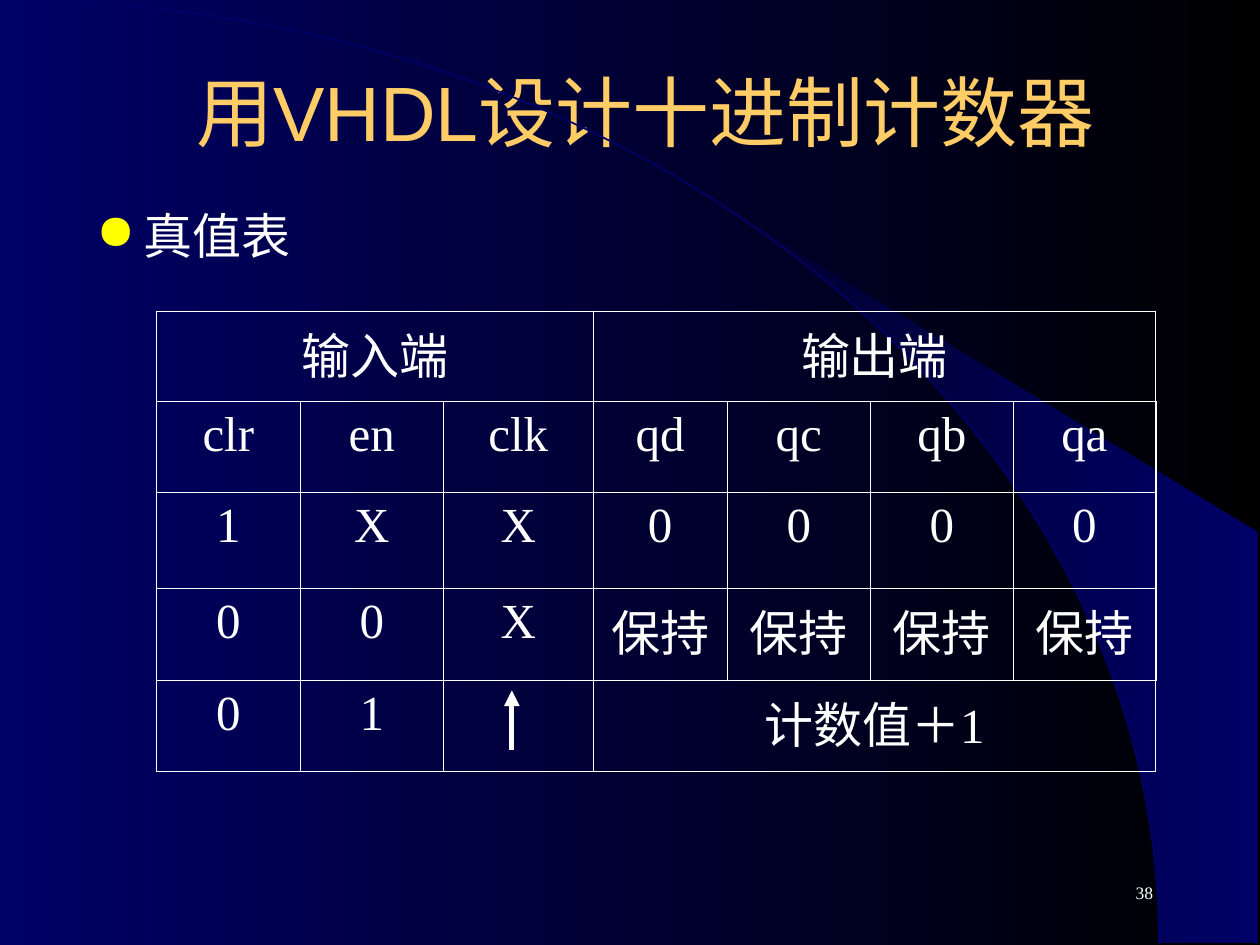
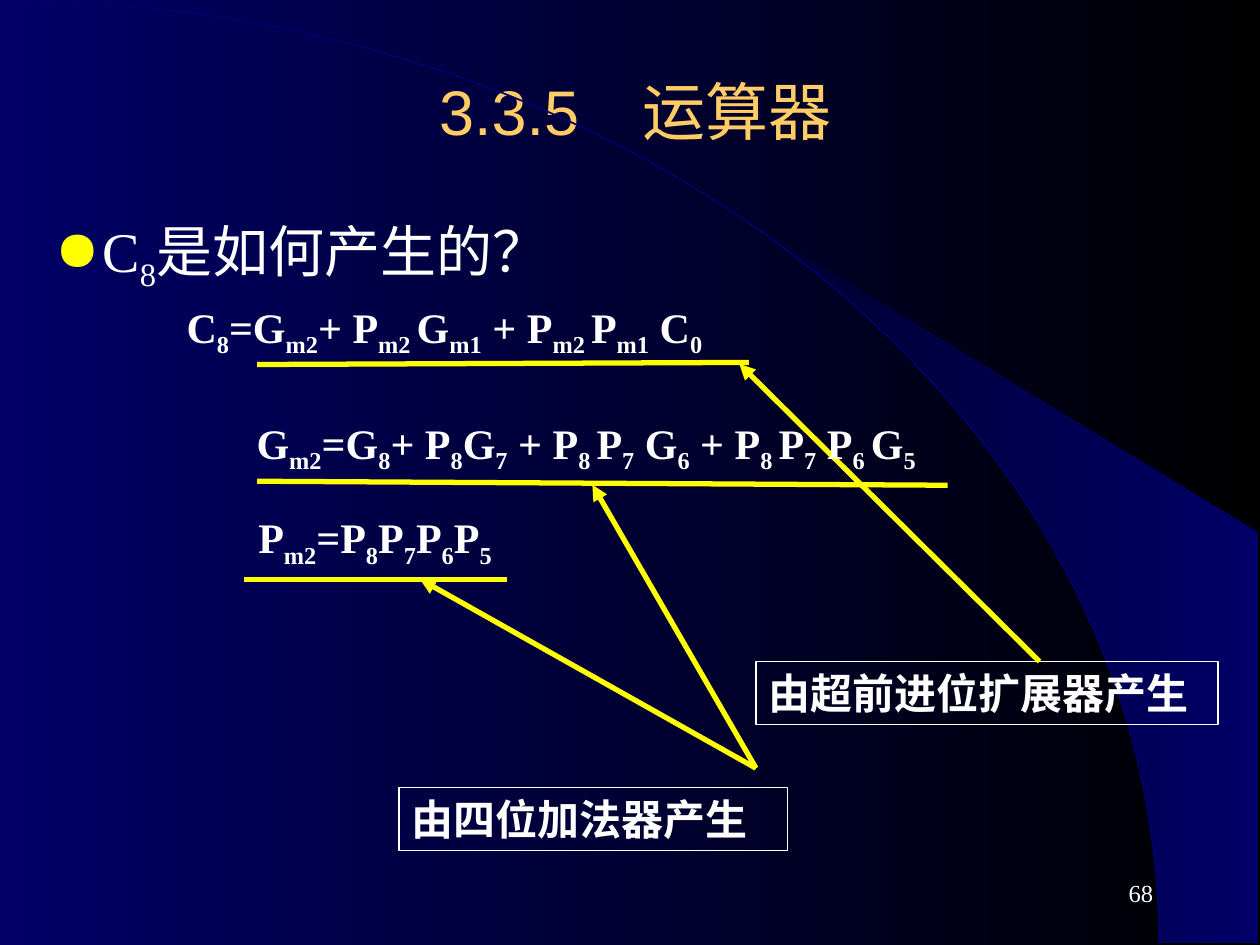
from lxml import etree
from pptx import Presentation
from pptx.dml.color import RGBColor
from pptx.enum.shapes import MSO_CONNECTOR as Connector, MSO_SHAPE as Shape
from pptx.enum.text import MSO_ANCHOR as Anchor, MSO_AUTO_SIZE as AutoSize, PP_ALIGN as Align
from pptx.oxml.ns import qn
from pptx.util import Pt

NAVY, DUSK, BLACK = "000066", "00002F", "000000"
WHITE, YELLOW, GOLD = "FFFFFF", "FFFF00", "FFCC66"
SERIF, SANS, LABEL_FONT = "Times New Roman", "Arial", "Cabin"
ARC = [(0, 0), (366, 0), (662.4, 241), (662.4, 539)]
ARC_STEPS, SWOOSH_START = 50, 22

TRUTH_ROWS = [
    ["输入端", "", "", "输出端", "", "", ""],
    ["clr", "en", "clk", "qd", "qc", "qb", "qa"],
    ["1", "X", "X", "0", "0", "0", "0"],
    ["0", "0", "X", "保持", "保持", "保持", "保持"],
    ["0", "1", "", "计数值＋1", "", "", ""],
]
TRUTH_WIDTHS = [82, 82, 85.5, 76.5, 82, 81.5, 81.5]
TRUTH_HEIGHTS = [51.5, 52, 55, 52.5, 52]
TRUTH_MERGES = [(0, 0, 2), (0, 3, 6), (4, 3, 6)]  # row, first column, last column


def colour(code):
    return RGBColor.from_string(code)


def points(values):
    return [Pt(value) for value in values]


def fill_gradient(fill, start, end):
    fill.gradient()
    fill.gradient_angle = 0
    for stop, code in zip(fill.gradient_stops, (start, end)):
        stop.color.rgb = colour(code)


def format_paragraph(para, size, font=SERIF, code=WHITE, bold=False, align=Align.LEFT):
    para.alignment = align
    for span in para.runs:
        span.font.size = Pt(size)
        span.font.name = font
        span.font.bold = bold
        span.font.color.rgb = colour(code)


def write_subscripted(para, text):
    """Every second part between bars is a subscript."""
    for index, part in enumerate(text.split("|")):
        span = para.add_run()
        span.text = part
        if index % 2:
            span._r.get_or_add_rPr().set("baseline", "-25000")


def add_text(page, box, text, size, align=Align.LEFT, anchor=Anchor.TOP, bold=False):
    frame = page.shapes.add_textbox(*points(box)).text_frame
    frame.word_wrap = True
    frame.vertical_anchor = anchor
    para = frame.paragraphs[0]
    write_subscripted(para, text)
    format_paragraph(para, size, bold=bold, align=align)
    return para


def add_bullet(page, box, text, size):
    para = add_text(page, box, text, size)
    properties = para._p.get_or_add_pPr()
    properties.set("marL", str(Pt(27)))
    properties.set("indent", str(-Pt(27)))
    bullet_colour = etree.SubElement(properties, qn("a:buClr"))
    etree.SubElement(bullet_colour, qn("a:srgbClr"), val=YELLOW)
    etree.SubElement(properties, qn("a:buChar"), char="●")


def add_line(page, start, end, code=YELLOW, arrow=False):
    line = page.shapes.add_connector(Connector.STRAIGHT, *points(start + end))
    line.line.color.rgb = colour(code)
    line.line.width = Pt(3)
    etree.SubElement(line._element.spPr, qn("a:effectLst"))
    if arrow:
        etree.SubElement(line.line._get_or_add_ln(), qn("a:tailEnd"), type="triangle")


def arc_points():
    curve = []
    for step in range(ARC_STEPS + 1):
        t = step / ARC_STEPS
        weights = ((1 - t) ** 3, 3 * t * (1 - t) ** 2, 3 * t * t * (1 - t), t ** 3)
        curve.append([sum(w * p[axis] for w, p in zip(weights, ARC)) for axis in (0, 1)])
    return curve


def add_outline(page, corners, close):
    first, *rest = [points(corner) for corner in corners]
    builder = page.shapes.build_freeform(*first)
    builder.add_line_segments(rest, close=close)
    shape = builder.convert_to_shape()
    shape.shadow.inherit = False
    return shape


def add_backdrop(page):
    curve = arc_points()
    swoosh = add_outline(page, curve[SWOOSH_START:] + [(719, 539), (719, 304.5)], True)
    fill_gradient(swoosh.fill, DUSK, NAVY)
    swoosh.line.fill.background()
    arc = add_outline(page, curve, False)
    arc.fill.background()
    arc.line.color.rgb = colour(NAVY)
    arc.line.width = Pt(1)


def add_page(deck, title, title_box, title_size, number, number_size):
    page = deck.slides.add_slide(deck.slide_layouts[5])
    add_backdrop(page)
    heading = page.shapes.title
    heading.left, heading.top, heading.width, heading.height = points(title_box)
    frame = heading.text_frame
    frame.text = title
    frame.auto_size = AutoSize.NONE
    frame.vertical_anchor = Anchor.MIDDLE
    format_paragraph(frame.paragraphs[0], title_size, SANS, GOLD, align=Align.CENTER)
    add_text(page, (516, 492, 150, 36), number, number_size, Align.RIGHT, Anchor.MIDDLE)
    return page


def set_borders(cell, outer_sides):
    properties = cell._tc.get_or_add_tcPr()
    for side in "LRTB":
        width = Pt(1.08 if side in outer_sides else 0.45)
        line = etree.SubElement(properties, qn(f"a:ln{side}"), w=str(width))
        solid = etree.SubElement(line, qn("a:solidFill"))
        etree.SubElement(solid, qn("a:srgbClr"), val=WHITE)


def add_truth_table(page, left, top):
    box = (left, top, sum(TRUTH_WIDTHS), sum(TRUTH_HEIGHTS))
    last_row, last_column = len(TRUTH_HEIGHTS) - 1, len(TRUTH_WIDTHS) - 1
    table = page.shapes.add_table(last_row + 1, last_column + 1, *points(box)).table
    table.first_row = table.horz_banding = False
    for column, width in zip(table.columns, TRUTH_WIDTHS):
        column.width = Pt(width)
    for row, height in zip(table.rows, TRUTH_HEIGHTS):
        row.height = Pt(height)
    for r, texts in enumerate(TRUTH_ROWS):
        for c, text in enumerate(texts):
            cell = table.cell(r, c)
            edges = {"L": c == 0, "R": c == last_column, "T": r == 0, "B": r == last_row}
            set_borders(cell, [side for side, outer in edges.items() if outer])
            cell.fill.background()
            cell.margin_left = cell.margin_right = Pt(7.2)
            cell.margin_top = cell.margin_bottom = Pt(3.6)
            if text:
                cell.text = text
                format_paragraph(cell.text_frame.paragraphs[0], 28, align=Align.CENTER)
    for row, first, last in TRUTH_MERGES:
        table.cell(row, first).merge(table.cell(row, last))
    clock_x = left + sum(TRUTH_WIDTHS[:2]) + 39
    clock_bottom = top + box[3] - 12.5
    add_line(page, (clock_x, clock_bottom), (clock_x, clock_bottom - 34), WHITE, arrow=True)


def add_label(page, box, text, font):
    label = page.shapes.add_shape(Shape.RECTANGLE, *points(box))
    label.shadow.inherit = False
    label.fill.background()
    label.line.color.rgb = colour(WHITE)
    label.line.width = Pt(0.75)
    frame = label.text_frame
    frame.text = text
    frame.vertical_anchor = Anchor.TOP
    format_paragraph(frame.paragraphs[0], 24, font, bold=True)


def add_equation(page, box, text, line_start, line_end):
    """Line ends are measured from the top left corner of the box."""
    left, top = box[:2]
    add_line(page, *((left + x, top + y) for x, y in (line_start, line_end)))
    add_text(page, box, text, 24, bold=True)


def counter_page(deck):
    page = add_page(deck, "用VHDL设计十进制计数器", (48, 24, 642, 78), 44, "38", 10)
    add_bullet(page, (48, 114, 131, 52), "真值表", 28)
    add_truth_table(page, 89.5, 178)


def carry_page(deck):
    page = add_page(deck, "3.3.5　运算器", (24, 18, 678, 90), 36, "68", 14)
    add_bullet(page, (24.5, 120, 678, 360), "C|8|是如何产生的？", 32)
    add_label(page, (432, 378, 264, 36), "由超前进位扩展器产生", LABEL_FONT)
    add_label(page, (228, 450, 222, 36), "由四位加法器产生", SERIF)
    add_line(page, (594, 378), (422.5, 208), arrow=True)
    for tip in ((338.5, 277), (240, 331)):
        add_line(page, (432, 439), tip, arrow=True)
    add_equation(page, (99.5, 168.5, 414, 40),
                 "C|8|=G|m2|+ P|m2 |G|m1| + P|m2 |P|m1| C|0", (47.5, 39.8), (328.5, 38.6))
    add_equation(page, (139.5, 235, 419, 40),
                 "G|m2|=G|8|+ P|8|G|7| + P|8 |P|7| G|6| + P|8 |P|7| P|6 |G|5",
                 (7.5, 40), (402, 42.3))
    add_equation(page, (140.5, 289, 232.5, 40),
                 "P|m2|=P|8|P|7|P|6|P|5", (-1, 42.2), (149, 42.2))


def main():
    deck = Presentation()
    deck.slide_width, deck.slide_height = Pt(720), Pt(540)
    fill_gradient(deck.slide_master.background.fill, NAVY, BLACK)
    counter_page(deck)
    carry_page(deck)
    deck.save("out.pptx")


if __name__ == "__main__":
    main()
